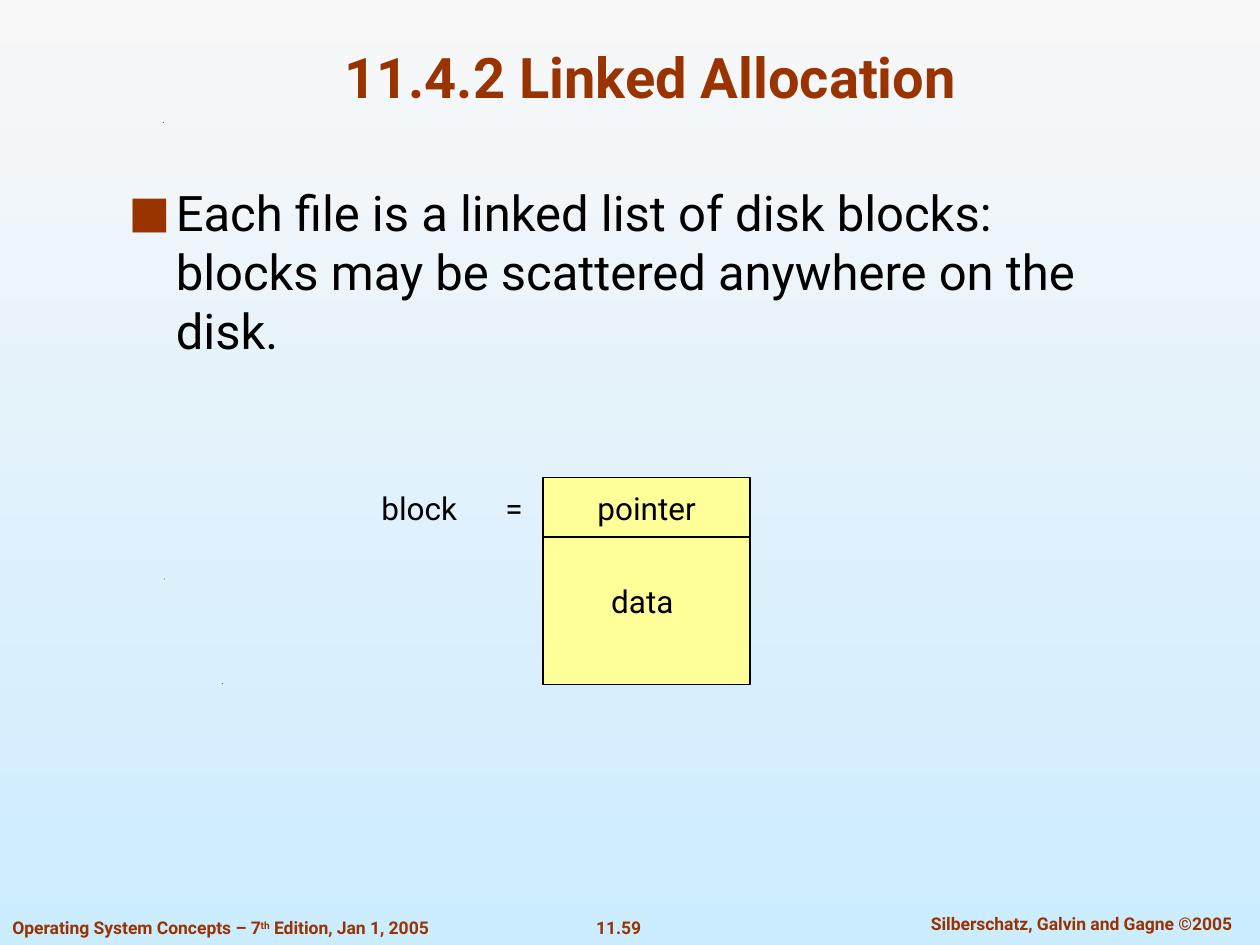
from lxml.etree import SubElement
from pptx import Presentation
from pptx.dml.color import RGBColor
from pptx.enum.shapes import MSO_SHAPE as Shape
from pptx.enum.text import MSO_ANCHOR as Anchor, MSO_AUTO_SIZE as AutoSize, PP_ALIGN as Align
from pptx.oxml.ns import qn
from pptx.util import Cm, Pt


def color(text):
    return RGBColor.from_string(text)


class SlideBuilder:
    font = "Roboto"
    accent, ink, block_fill = "993300", "000000", "FFFF99"

    def __init__(self, page):
        self.page = page

    def background(self, *colors):
        fill = self.page.background.fill
        fill.gradient()
        fill.gradient_angle = 270
        for stop, value in zip(fill.gradient_stops, colors):
            stop.color.rgb = color(value)

    def set_text(self, box, spans, size, ink, bold=False, align=Align.LEFT,
                 anchor=Anchor.TOP, wrap=False):
        frame = box.text_frame
        frame.word_wrap = wrap
        frame.auto_size = AutoSize.NONE
        frame.vertical_anchor = anchor
        para = frame.paragraphs[0]
        para.alignment = align
        para.font.name, para.font.size, para.font.bold = self.font, Pt(size), bold
        para.font.color.rgb = color(ink)
        for text in spans:
            para.add_run().text = text
        return para

    def placeholder(self, index, area, text, size, ink, **style):
        box = self.page.placeholders[index]
        box.left, box.top, box.width, box.height = map(Cm, area)
        return self.set_text(box, [text], size, ink, wrap=True, **style)

    def bullet(self, para, symbol, indent):
        props = para._p.get_or_add_pPr()
        props.set("marL", str(Cm(indent)))
        props.set("indent", str(-Cm(indent)))
        # Bullet settings stand before the default run properties
        defaults = props.find(qn("a:defRPr"))
        tint = SubElement(props, qn("a:buClr"))
        SubElement(tint, qn("a:srgbClr"), val=self.accent)
        SubElement(props, qn("a:buSzPct"), val="90000")
        SubElement(props, qn("a:buFont"), typeface=self.font)
        SubElement(props, qn("a:buChar"), char=symbol)
        props.append(defaults)

    def label(self, area, spans, size, ink, **style):
        box = self.page.shapes.add_textbox(*map(Cm, area))
        return self.set_text(box, spans, size, ink, **style)

    def tab_stop(self, para, position):
        props = para._p.get_or_add_pPr()
        defaults = props.find(qn("a:defRPr"))
        tabs = SubElement(props, qn("a:tabLst"))
        SubElement(tabs, qn("a:tab"), pos=str(Cm(position)), algn="l")
        props.append(defaults)

    def block(self, area, text="", outlined=True):
        box = self.page.shapes.add_shape(Shape.RECTANGLE, *map(Cm, area))
        box.shadow.inherit = False
        box.fill.solid()
        box.fill.fore_color.rgb = color(self.block_fill)
        if outlined:
            box.line.color.rgb = color(self.ink)
            box.line.width = Pt(0.75)
        else:
            box.line.fill.background()
        if text:
            self.set_text(box, [text], 18, self.ink, align=Align.CENTER, anchor=Anchor.MIDDLE)

    def speck(self, x, y):
        size = 0.02
        outline = self.page.shapes.build_freeform(Cm(x), Cm(y))
        outline.add_line_segments([(Cm(x + size), Cm(y - size)), (Cm(x + size), Cm(y))])
        dot = outline.convert_to_shape()
        dot.shadow.inherit = False
        dot.fill.solid()
        dot.fill.fore_color.rgb = color(self.ink)
        dot.line.fill.background()


def main():
    deck = Presentation()
    deck.slide_width, deck.slide_height = Cm(25.4), Cm(19.05)
    slide = SlideBuilder(deck.slides.add_slide(deck.slide_layouts[1]))
    slide.background("F8F8F8", "CCECFF")

    # Background specks
    for x, y in [(4.47, 13.79), (3.3, 11.68), (3.28, 2.48)]:
        slide.speck(x, y)

    # Footer
    footer = dict(size=10, ink=slide.accent, bold=True)
    edition = slide.label((0, 18.36, 9.37, 0.69),
                          ["Operating System Concepts – 7", "th", " Edition, Jan 1, 2005"], **footer)
    edition.runs[1]._r.get_or_add_rPr().set("baseline", "30000")
    slide.label((11.76, 18.36, 1.42, 0.69), ["11.59"], align=Align.CENTER, **footer)
    slide.label((18.03, 18.29, 7.54, 0.69), ["Silberschatz, Galvin and Gagne ©2005"],
                align=Align.CENTER, wrap=True, **footer)

    # Title and list
    slide.placeholder(0, (1.9, 0.64, 22.43, 1.7), "11.4.2 Linked Allocation", 32, slide.accent,
                      bold=True, align=Align.CENTER, anchor=Anchor.BOTTOM)
    item = slide.placeholder(1, (2.34, 3.56, 20.42, 2.06),
                             "Each file is a linked list of disk blocks: "
                             "blocks may be scattered anywhere on the disk.", 28, slide.ink)
    item.space_before = Pt(0)
    slide.bullet(item, "■", 0.95)

    # Block diagram
    left, top, width, pointer_height = 10.95, 9.63, 4.17, 1.2
    slide.block((left, top, width, pointer_height), "pointer")
    slide.block((left, top + pointer_height, width, 2.97))
    equation = slide.label((7.44, 9.73, 3.43, 1.02), ["block\t="], 18, slide.ink, anchor=Anchor.MIDDLE)
    slide.tab_stop(equation, 2.5)
    slide.block((11.3, 11.51, 3.3, 1.2), "data", outlined=False)

    deck.save("out.pptx")


if __name__ == "__main__":
    main()
